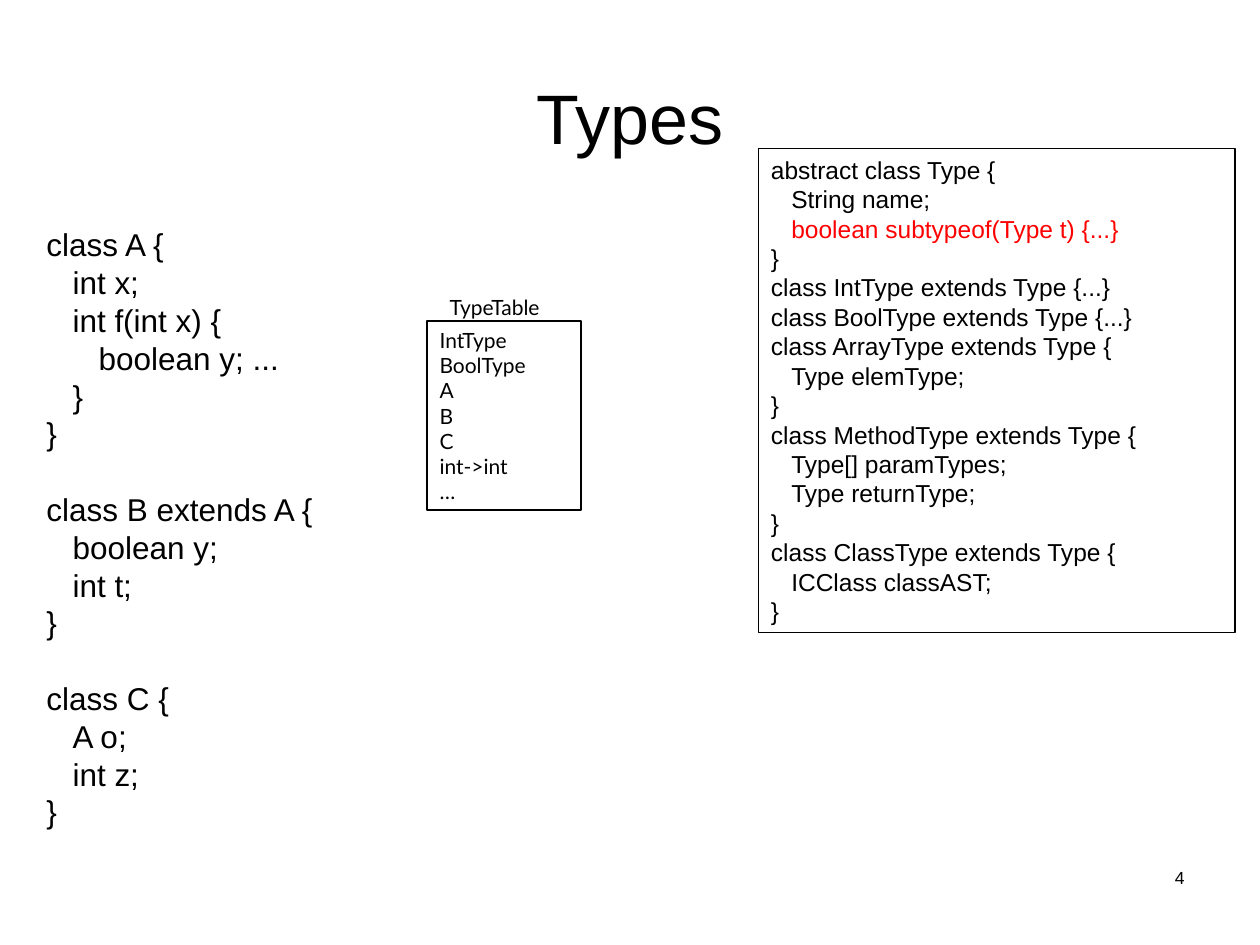
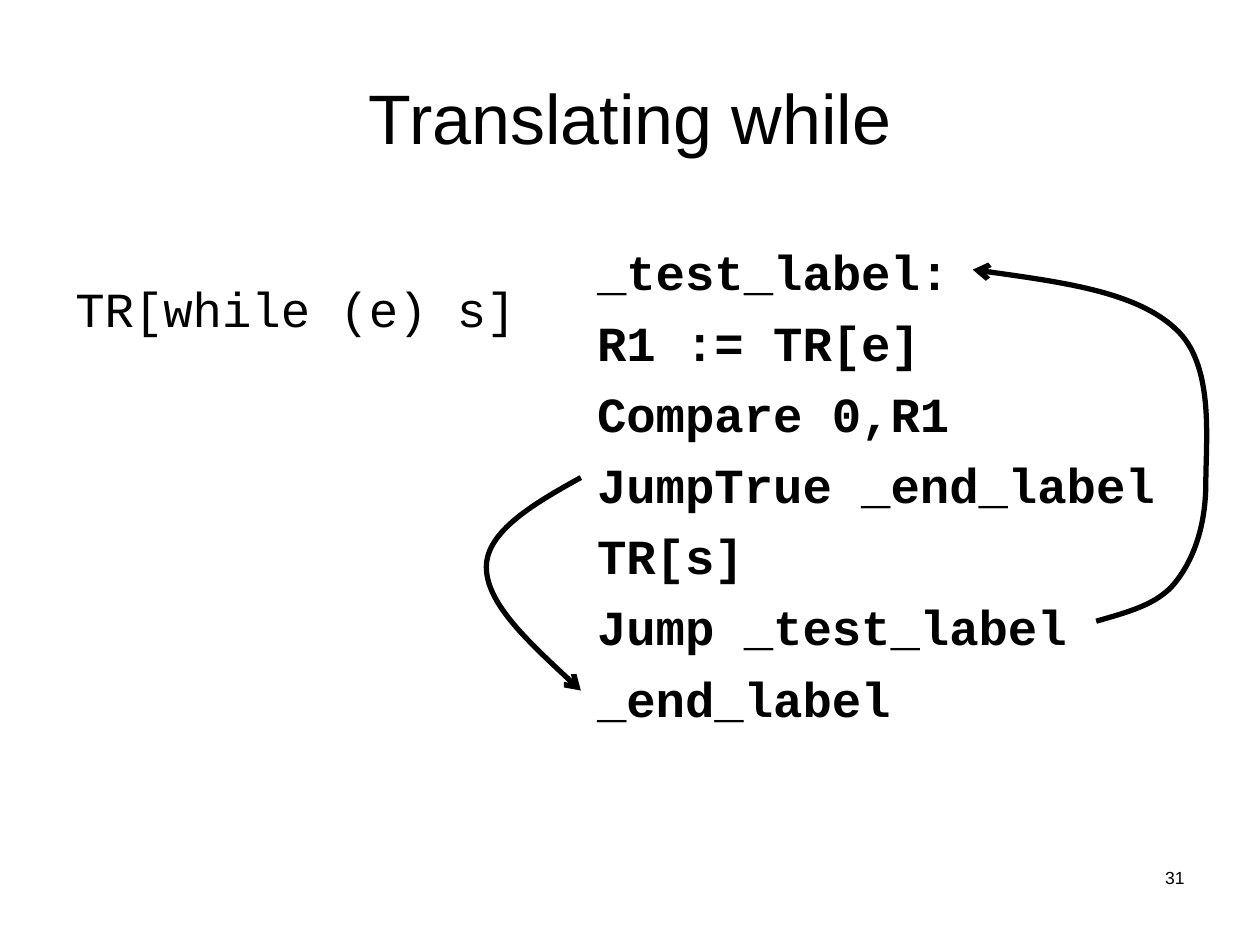
from lxml import etree
from pptx import Presentation
from pptx.dml.color import RGBColor
from pptx.enum.shapes import MSO_SHAPE as SHAPE
from pptx.enum.text import MSO_ANCHOR as ANCHOR, PP_ALIGN as ALIGN
from pptx.oxml.ns import qn
from pptx.util import Inches, Pt

BLACK, WHITE, RED = "000000", "FFFFFF", "FF0000"
SANS, MONO, TABLE_FONT = "Arial", "Courier New", "Lato"
LINE_HEIGHT = 1.2
INDENT_PER_POINT = 0.83 / 72  # one code level, in inches per point of text size

# Code is a list of blocks; a line is (level, text) or (level, text, colour).
PROGRAM = [
    [(0, "class A {"), (1, "int x;"), (1, "int f(int x) {"),
     (2, "boolean y; ..."), (1, "}"), (0, "}")],
    [(0, "class B extends A {"), (1, "boolean y;"), (1, "int t;"), (0, "}")],
    [(0, "class C {"), (1, "A o;"), (1, "int z;"), (0, "}")],
]
TYPE_CLASSES = [[
    (0, "abstract class Type {"),
    (1, "String name;"),
    (1, "boolean subtypeof(Type t) {...}", RED),
    (0, "}"),
    (0, "class IntType extends Type {...}"),
    (0, "class BoolType extends Type {...}"),
    (0, "class ArrayType extends Type {"),
    (1, "Type elemType;"),
    (0, "}"),
    (0, "class MethodType extends Type {"),
    (1, "Type[] paramTypes;"),
    (1, "Type returnType;"),
    (0, "}"),
    (0, "class ClassType extends Type {"),
    (1, "ICClass classAST;"),
    (0, "}"),
]]
TYPE_TABLE = ["IntType", "BoolType", "A", "B", "C", "int->int", "…"]
WHILE_CODE = ["_test_label:", "R1 := TR[e]", "Compare 0,R1", "JumpTrue _end_label",
              "TR[s]", "Jump _test_label", "_end_label"]

# Each curve: a start point, then two control points and an end point per segment.
JUMP_TO_END = [(4.61, 3.79), (4.23, 4), (3.86, 4.22), (3.86, 4.5),
               (3.86, 4.78), (4.23, 5.13), (4.61, 5.48)]
JUMP_TO_TEST = [(8.7, 4.93), (8.94, 4.86), (9.19, 4.8), (9.33, 4.62),
                (9.48, 4.43), (9.57, 4.16), (9.57, 3.83),
                (9.57, 3.49), (9.64, 2.89), (9.33, 2.61),
                (9.02, 2.32), (8.37, 2.23), (7.72, 2.14)]


def rgb(color):
    return RGBColor.from_string(color)


def one_block(lines):
    return [[(0, line) for line in lines]]


def write(sp, blocks, size, font=SANS, align=ALIGN.LEFT, anchor=ANCHOR.TOP,
          bold=False, gap=0, wrap=True):
    """Set one paragraph per line, with an empty line's height between blocks."""
    tf = sp.text_frame
    tf.word_wrap = wrap
    tf.vertical_anchor = anchor
    height = size * LINE_HEIGHT
    p = None
    for block in blocks:
        for i, (level, text, *color) in enumerate(block):
            first = p is None
            p = tf.paragraphs[0] if first else tf.add_paragraph()
            p.text = text
            p.alignment = align
            p.line_spacing = Pt(height)
            p.space_before = Pt(0 if first else gap if i else height)
            if level:
                margin = Inches(level * size * INDENT_PER_POINT)
                p._p.get_or_add_pPr().set("marL", str(margin))
            p.font.name = font
            p.font.size = Pt(size)
            p.font.bold = bold
            p.font.color.rgb = rgb(color[0] if color else BLACK)


def add_text(s, box, blocks, size, **style):
    write(s.shapes.add_textbox(*map(Inches, box)), blocks, size, **style)


def add_box(s, box, blocks, size, fill=None, **style):
    sp = s.shapes.add_shape(SHAPE.RECTANGLE, *map(Inches, box))
    sp.shadow.inherit = False
    if fill:
        sp.fill.solid()
        sp.fill.fore_color.rgb = rgb(fill)
    else:
        sp.fill.background()
    sp.line.color.rgb = rgb(BLACK)
    sp.line.width = Pt(1)
    write(sp, blocks, size, **style)


def add_curved_arrow(s, points):
    """Outline the points, then turn each three line steps into one Bézier curve."""
    start, *rest = [(Inches(x), Inches(y)) for x, y in points]
    builder = s.shapes.build_freeform(*start)
    builder.add_line_segments(rest, close=False)
    sp = builder.convert_to_shape()
    sp.shadow.inherit = False
    sp.fill.background()
    sp.line.color.rgb = rgb(BLACK)
    sp.line.width = Pt(3)
    etree.SubElement(sp.line._get_or_add_ln(), qn("a:tailEnd"), type="arrow")
    outline = next(sp._element.iter(qn("a:path")))
    steps = outline.findall(qn("a:lnTo"))
    for i in range(0, len(steps), 3):
        curve = etree.SubElement(outline, qn("a:cubicBezTo"))
        for step in steps[i:i + 3]:
            curve.append(step[0])
            outline.remove(step)


def add_slide(prs, title, number):
    s = prs.slides.add_slide(prs.slide_layouts[6])
    add_text(s, (0.5, 0.3, 9, 1.25), one_block([title]), 40,
             align=ALIGN.CENTER, anchor=ANCHOR.MIDDLE)
    add_text(s, (7.17, 6.83, 2.33, 0.5), one_block([number]), 10, align=ALIGN.RIGHT)
    return s


def types_slide(prs):
    s = add_slide(prs, "Types", "4")
    add_text(s, (0.27, 1.74, 2.87, 4.9), PROGRAM, 18)
    add_box(s, (6.02, 1.18, 3.78, 3.84), TYPE_CLASSES, 14, fill=WHITE)
    add_box(s, (3.39, 2.55, 1.22, 1.5), one_block(TYPE_TABLE), 12, font=TABLE_FONT)
    add_text(s, (3.47, 2.29, 1, 0.3), one_block(["TypeTable"]), 12,
             font=TABLE_FONT, wrap=False)


def while_slide(prs):
    s = add_slide(prs, "Translating while", "31")
    add_text(s, (0.5, 2.16, 3.87, 0.95), one_block(["TR[while (e) s]"]), 28, font=MONO)
    add_text(s, (4.64, 1.87, 4.89, 4.75), one_block(WHILE_CODE), 28,
             font=MONO, bold=True, gap=7)
    for curve in (JUMP_TO_END, JUMP_TO_TEST):
        add_curved_arrow(s, curve)


def main():
    prs = Presentation()
    prs.slide_width, prs.slide_height = Inches(10), Inches(7.5)
    types_slide(prs)
    while_slide(prs)
    prs.save("out.pptx")


if __name__ == "__main__":
    main()
